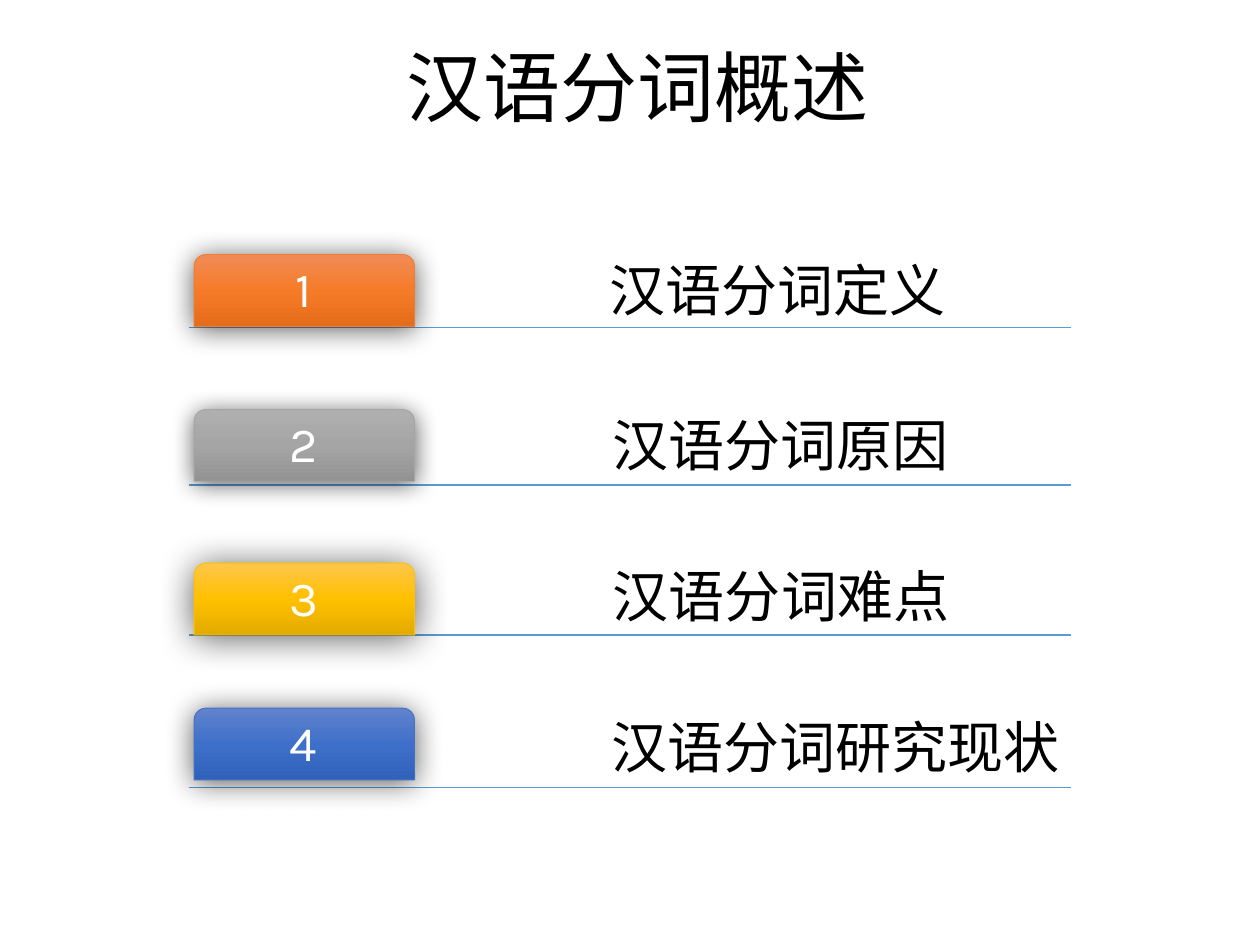
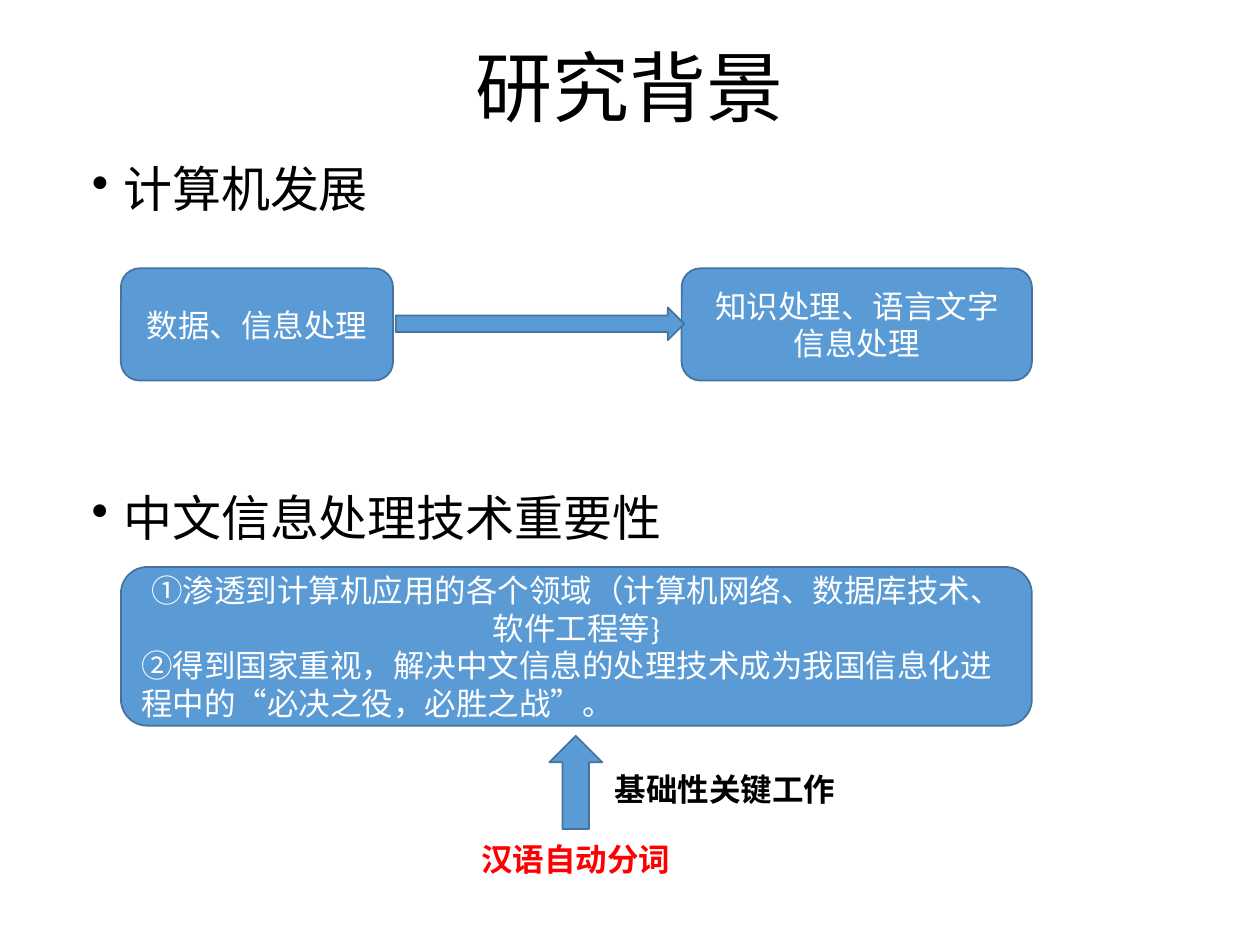
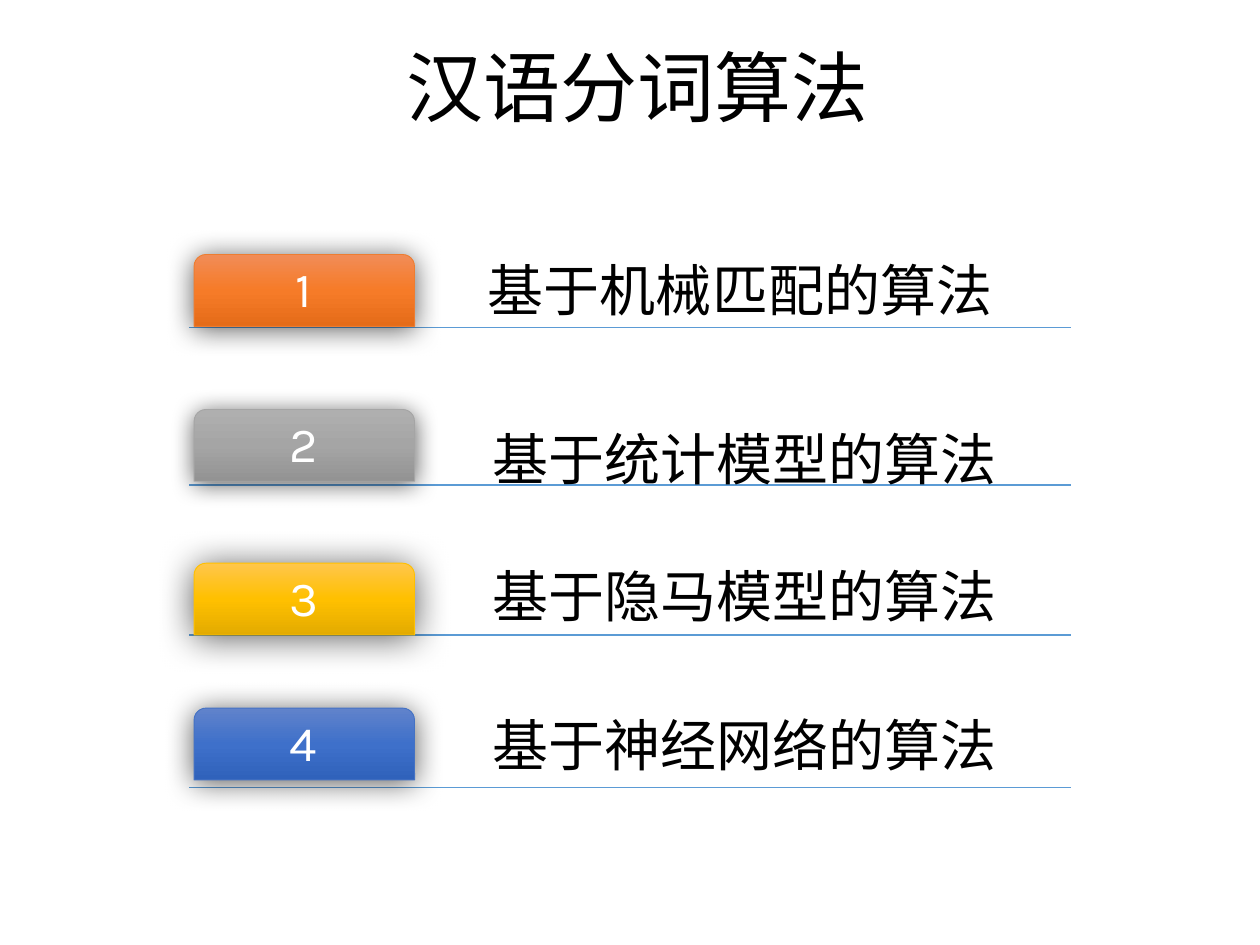
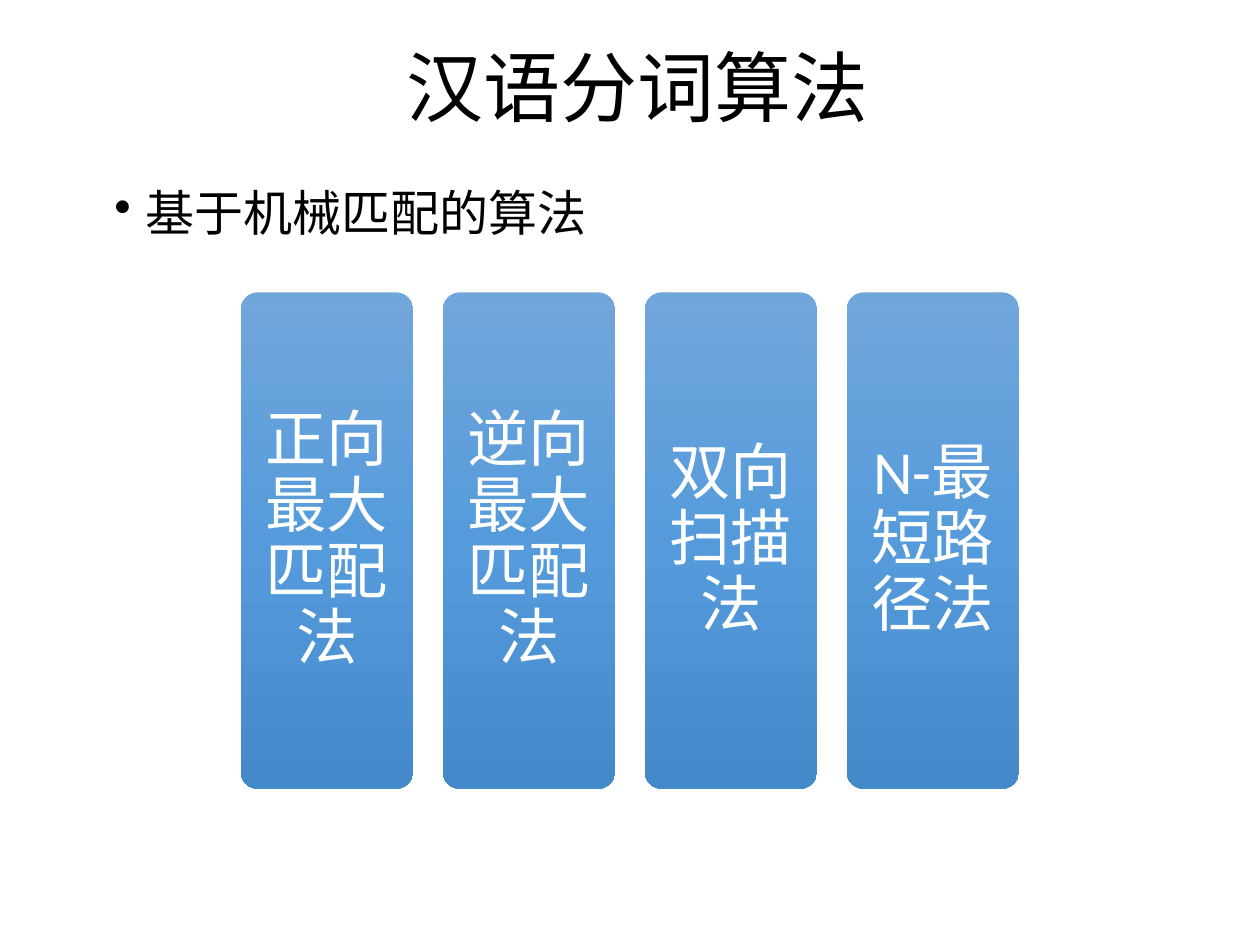
"""Build four slides introducing Chinese word segmentation and its algorithms."""
from dataclasses import dataclass
from typing import NamedTuple

from lxml import etree
from pptx import Presentation
from pptx.dml.color import RGBColor
from pptx.enum.shapes import MSO_CONNECTOR, MSO_SHAPE
from pptx.enum.text import MSO_ANCHOR, PP_ALIGN
from pptx.oxml.ns import qn
from pptx.shapes.autoshape import Shape
from pptx.slide import Slide
from pptx.util import Emu, Inches, Pt

CENTER, LEFT = PP_ALIGN.CENTER, PP_ALIGN.LEFT
TOP, MIDDLE, BOTTOM = MSO_ANCHOR.TOP, MSO_ANCHOR.MIDDLE, MSO_ANCHOR.BOTTOM
ROUNDED, TAB = MSO_SHAPE.ROUNDED_RECTANGLE, MSO_SHAPE.ROUND_2_SAME_RECTANGLE
RIGHT_ARROW, UP_ARROW = MSO_SHAPE.RIGHT_ARROW, MSO_SHAPE.UP_ARROW
STRAIGHT = MSO_CONNECTOR.STRAIGHT

BLACK = RGBColor(0x00, 0x00, 0x00)
WHITE = RGBColor(0xFF, 0xFF, 0xFF)
RED = RGBColor(0xFF, 0x00, 0x00)
BLUE = RGBColor(0x5B, 0x9B, 0xD5)
DARK_BLUE = RGBColor(0x43, 0x73, 0x9E)
HAN_FONT, BODY_FONT, NUMBER_FONT = "Noto Sans CJK SC", "Calibri", "Karla"

SLIDE_WIDTH, SLIDE_HEIGHT = Inches(10), Inches(7.5)
COLUMNS, ROWS = 100, 75


class Box(NamedTuple):
    """Left, top, width and height in grid columns and rows."""
    left: float
    top: float
    width: float
    height: float


class Gradient(NamedTuple):
    """Colours at the top, the middle and the bottom."""
    top: RGBColor
    middle: RGBColor
    bottom: RGBColor


@dataclass(frozen=True)
class Style:
    """Look of one paragraph; indents are in grid columns."""
    size: float
    font: str = BODY_FONT
    color: RGBColor = BLACK
    bold: bool = False
    align: PP_ALIGN = CENTER
    spacing: float = 1.0
    before: float = 0
    after: float = 0
    bullet: bool = False


@dataclass(frozen=True)
class NumberTab:
    """A numbered tab and the rule under it."""
    top: float
    rule: float
    gradient: Gradient
    outline: RGBColor
    blur: float


@dataclass(frozen=True)
class Topic:
    """An agenda entry beside a numbered tab."""
    text: str
    box: Box
    anchor: MSO_ANCHOR = BOTTOM
    indent: float = 0


TITLE = Style(44, HAN_FONT, spacing=0.9)
BULLET = Style(28, HAN_FONT, align=LEFT, spacing=0.9, before=10, bullet=True)
PANEL = Style(18, color=WHITE)
PANEL_LEFT = Style(18, color=WHITE, align=LEFT)
TOPIC = Style(32, spacing=0.9, after=11.2)
LOOSE_TOPIC = Style(32)
NUMBER = Style(28, NUMBER_FONT, WHITE, spacing=0.9, after=9.8)
METHOD = Style(35, color=WHITE, spacing=0.9, after=12.25)

TITLE_BOX = Box(-7.5, 0, 115, 14.5)
TITLE_INDENT = 1.3
TABS = (
    NumberTab(20.2, 26, Gradient(RGBColor(0xF1, 0x8C, 0x57), RGBColor(0xF6, 0x7B, 0x28),
                                 RGBColor(0xE5, 0x6C, 0x19)), RGBColor(0xED, 0x7D, 0x31), 16),
    NumberTab(32.5, 38.5, Gradient(RGBColor(0xAF, 0xAF, 0xAF), RGBColor(0xA5, 0xA5, 0xA5),
                                   RGBColor(0x93, 0x93, 0x93)), RGBColor(0xA5, 0xA5, 0xA5), 14),
    NumberTab(44.7, 50.4, Gradient(RGBColor(0xFF, 0xC6, 0x4B), RGBColor(0xFF, 0xC0, 0x00),
                                   RGBColor(0xE3, 0xAB, 0x00)), RGBColor(0xFF, 0xC0, 0x00), 21),
    NumberTab(56.2, 62.5, Gradient(RGBColor(0x61, 0x83, 0xCB), RGBColor(0x3E, 0x70, 0xCA),
                                   RGBColor(0x30, 0x62, 0xBB)), RGBColor(0x44, 0x72, 0xC4), 17),
)
METHOD_GRADIENT = Gradient(RGBColor(0x71, 0xA6, 0xDB), RGBColor(0x55, 0x9B, 0xDB),
                           RGBColor(0x44, 0x8A, 0xCA))
METHODS = ("正向最大匹配法", "逆向最大匹配法", "双向扫描法", "N-最短路径法")
METHOD_LEFT, METHOD_PITCH = 19.1, 16.03

OVERVIEW = (
    Topic("汉语分词定义", Box(33.8, 19.7, 47.9, 6.7), indent=8),
    Topic("汉语分词原因", Box(47.5, 32.1, 28.9, 6.4), TOP),
    Topic("汉语分词难点", Box(33.2, 39.9, 51.8, 10.8), indent=5.8),
    Topic("汉语分词研究现状", Box(35.6, 56.1, 55.6, 6.4), TOP, 5.9),
)
ALGORITHMS = (
    Topic("基于机械匹配的算法", Box(33.4, 19.7, 48.7, 6.7), indent=2),
    Topic("基于统计模型的算法", Box(33.2, 29, 51.8, 10.8)),
    Topic("基于隐马模型的算法", Box(33.2, 39.9, 51.8, 10.8)),
    Topic("基于神经网络的算法", Box(33.2, 51.7, 51.8, 10.8)),
)


def across(columns: float) -> Emu:
    """Turn grid columns into a length."""
    return Emu(round(SLIDE_WIDTH * columns / COLUMNS))


def down(rows: float) -> Emu:
    """Turn grid rows into a length."""
    return Emu(round(SLIDE_HEIGHT * rows / ROWS))


def place(box: Box) -> tuple[Emu, Emu, Emu, Emu]:
    """Turn a grid box into a position and a size."""
    return across(box.left), down(box.top), across(box.width), down(box.height)


def write(shape: Shape, lines: list[tuple[str, Style]], anchor: MSO_ANCHOR = TOP,
          indent: float = 0, inset: float | None = None) -> None:
    """Fill a shape with styled paragraphs."""
    frame = shape.text_frame
    frame.word_wrap = True
    frame.vertical_anchor = anchor
    if inset is not None:
        frame.margin_left = frame.margin_right = across(inset)
        frame.margin_top = frame.margin_bottom = down(inset)
    for index, (text, style) in enumerate(lines):
        paragraph = frame.add_paragraph() if index else frame.paragraphs[0]
        paragraph.text = text
        paragraph.alignment = style.align
        paragraph.line_spacing = style.spacing
        paragraph.space_before, paragraph.space_after = Pt(style.before), Pt(style.after)
        font = paragraph.font
        font.size, font.name, font.bold = Pt(style.size), style.font, style.bold
        font.color.rgb = style.color
        properties = paragraph._p.pPr
        defaults = properties.find(qn("a:defRPr"))
        etree.SubElement(defaults, qn("a:ea"), typeface=HAN_FONT)
        hanging = 2.5 if style.bullet else 0
        properties.set("marL", str(across(indent + hanging)))
        properties.set("indent", str(across(-hanging)))
        if style.bullet:
            mark = etree.Element(qn("a:buChar"), char="•")
            defaults.addprevious(mark)


def add_text(slide: Slide, box: Box, text: str, style: Style, anchor: MSO_ANCHOR = TOP,
             indent: float = 0, inset: float | None = None) -> None:
    """Add a text box with one paragraph."""
    write(slide.shapes.add_textbox(*place(box)), [(text, style)], anchor, indent, inset)


def add_panel(slide: Slide, kind: MSO_SHAPE, box: Box, *lines: tuple[str, Style]) -> None:
    """Add a flat blue shape, with text if any is given."""
    panel = slide.shapes.add_shape(kind, *place(box))
    panel.shadow.inherit = False
    panel.fill.solid()
    panel.fill.fore_color.rgb = BLUE
    panel.line.color.rgb = DARK_BLUE
    panel.line.width = Pt(1)
    write(panel, list(lines), MIDDLE)


def add_gradient_shape(slide: Slide, kind: MSO_SHAPE, box: Box, gradient: Gradient) -> Shape:
    """Add a borderless shape shaded from top to bottom."""
    shape = slide.shapes.add_shape(kind, *place(box))
    shape.shadow.inherit = False
    shape.line.fill.background()
    shading = etree.Element(qn("a:gradFill"), rotWithShape="1")
    stops = etree.SubElement(shading, qn("a:gsLst"))
    for position, color in zip((0, 50000, 100000), gradient):
        stop = etree.SubElement(stops, qn("a:gs"), pos=str(position))
        etree.SubElement(stop, qn("a:srgbClr"), val=str(color))
    etree.SubElement(shading, qn("a:lin"), ang="5400000", scaled="0")
    shape._element.spPr.find(qn("a:prstGeom")).addnext(shading)
    return shape


def add_shadow(shape: Shape, blur: float) -> None:
    """Give a shape a soft shadow falling downwards."""
    effects = shape._element.spPr.find(qn("a:effectLst"))
    shadow = etree.SubElement(effects, qn("a:outerShdw"), blurRad=str(Pt(blur)),
                              dist=str(Pt(1.5)), dir="5400000", algn="ctr", rotWithShape="0")
    tint = etree.SubElement(shadow, qn("a:srgbClr"), val=str(BLACK))
    etree.SubElement(tint, qn("a:alpha"), val="63000")


def add_rule(slide: Slide, row: float) -> None:
    """Draw a thin blue line under a tab."""
    rule = slide.shapes.add_connector(STRAIGHT, across(15), down(row), across(85), down(row))
    rule.line.color.rgb = BLUE
    rule.line.width = Pt(1)
    etree.SubElement(rule._element.spPr, qn("a:effectLst"))


def add_tab(slide: Slide, number: int, tab: NumberTab) -> None:
    """Draw one numbered tab."""
    shape = add_gradient_shape(slide, TAB, Box(15.4, tab.top, 17.5, 5.7), tab.gradient)
    shape.line.color.rgb = tab.outline
    shape.line.width = Pt(0.5)
    add_shadow(shape, tab.blur)
    add_text(slide, Box(15.6, tab.top + 0.25, 17, 5.4), str(number), NUMBER, MIDDLE, inset=0.6)


def add_titled_slide(deck: Presentation, title: str, indent: float = TITLE_INDENT) -> Slide:
    """Add a blank slide with the shared title."""
    slide = deck.slides.add_slide(deck.slide_layouts[6])
    add_text(slide, TITLE_BOX, title, TITLE, MIDDLE, indent)
    return slide


def add_agenda(deck: Presentation, title: str, topics: tuple[Topic, ...]) -> None:
    """Add a slide of four numbered topics."""
    slide = add_titled_slide(deck, title)
    for tab in reversed(TABS):
        add_rule(slide, tab.rule)
    for number, (tab, topic) in enumerate(zip(TABS, topics), 1):
        tight = topic.anchor == BOTTOM
        add_text(slide, topic.box, topic.text, TOPIC if tight else LOOSE_TOPIC,
                 topic.anchor, topic.indent, 0.7 if tight else None)
        add_tab(slide, number, tab)


def add_background(deck: Presentation) -> None:
    """Add the slide on the research background."""
    slide = add_titled_slide(deck, "研究背景", 0)
    add_text(slide, Box(6.3, 12.6, 87.8, 47.6), "计算机发展", BULLET)
    add_panel(slide, ROUNDED, Box(9.6, 21.3, 21.6, 8.9), ("数据、信息处理", PANEL))
    add_panel(slide, ROUNDED, Box(54.1, 21.3, 27.8, 8.9), ("知识处理、语言文字信息处理", PANEL))
    add_panel(slide, RIGHT_ARROW, Box(31.4, 24.4, 22.9, 2.6))
    add_text(slide, Box(6.3, 38.7, 49.3, 5.3), "中文信息处理技术重要性", BULLET)
    add_panel(
        slide, ROUNDED, Box(9.6, 45, 72.3, 12.6),
        ("①渗透到计算机应用的各个领域（计算机网络、数据库技术、软件工程等}", PANEL),
        ("②得到国家重视，解决中文信息的处理技术成为我国信息化进程中的“必决之役，必胜之战”。",
         PANEL_LEFT))
    add_text(slide, Box(16, 66.2, 59.4, 4), "汉语自动分词", Style(18, color=RED, bold=True))
    add_panel(slide, UP_ARROW, Box(43.6, 58.4, 4.2, 7.4))
    add_text(slide, Box(47.8, 60.6, 25, 4.1), "基础性关键工作", Style(18, bold=True, align=LEFT))


def add_methods(deck: Presentation) -> None:
    """Add the slide on mechanical matching methods."""
    slide = add_titled_slide(deck, "汉语分词算法")
    add_text(slide, Box(8.1, 14.5, 56.5, 5.3), "基于机械匹配的算法", BULLET)
    for index, method in enumerate(METHODS):
        left = METHOD_LEFT + index * METHOD_PITCH
        pillar = add_gradient_shape(slide, ROUNDED, Box(left, 23.2, 13.7, 39.4), METHOD_GRADIENT)
        pillar.adjustments[0] = 0.1
        add_text(slide, Box(left + 0.4, 23.6, 12.9, 38.6), method, METHOD, MIDDLE, inset=1.5)


def main() -> None:
    """Build and save the deck."""
    deck = Presentation()
    deck.slide_width, deck.slide_height = SLIDE_WIDTH, SLIDE_HEIGHT
    add_agenda(deck, "汉语分词概述", OVERVIEW)
    add_background(deck)
    add_agenda(deck, "汉语分词算法", ALGORITHMS)
    add_methods(deck)
    deck.save("out.pptx")


if __name__ == "__main__":
    main()
